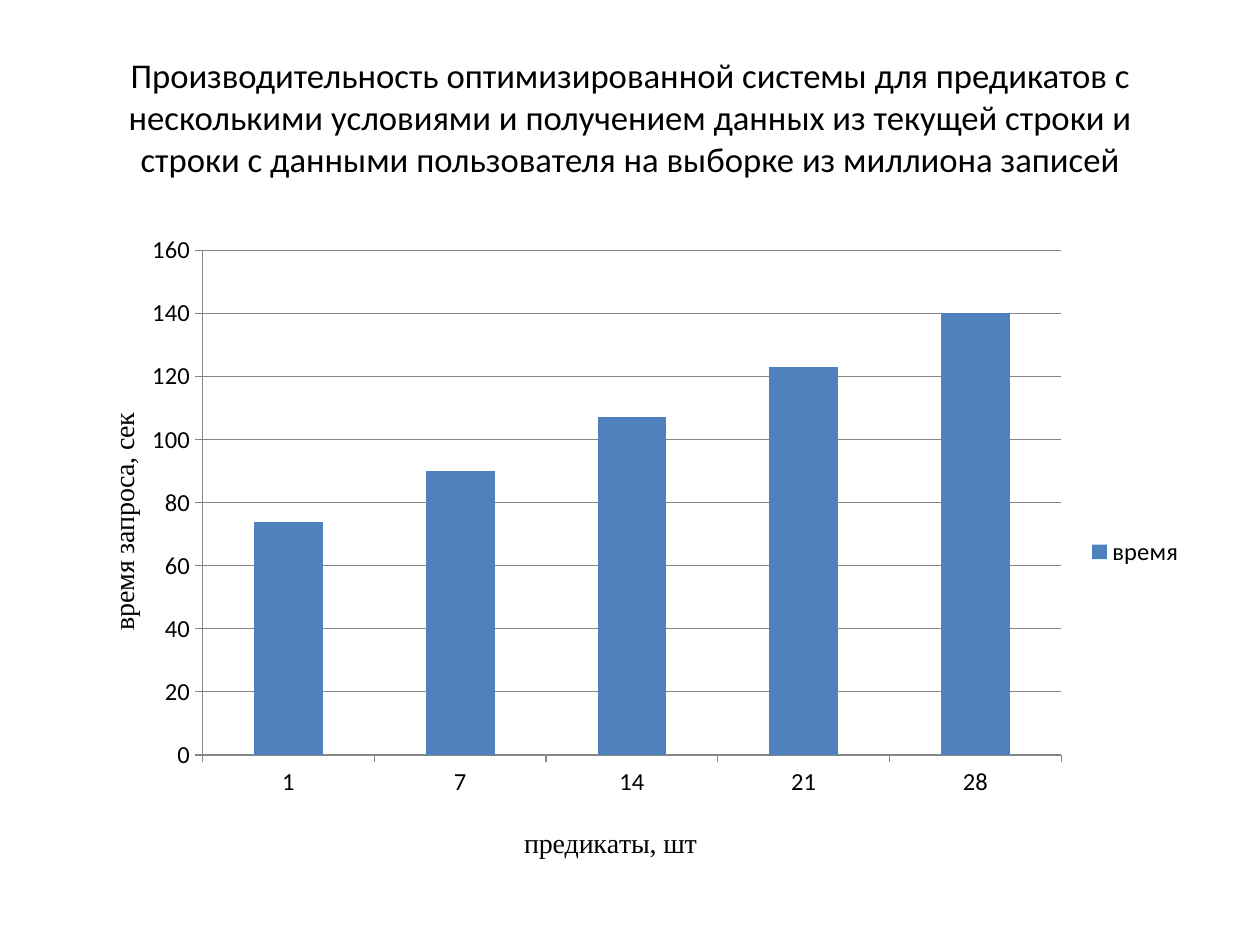
from lxml import etree
from pptx import Presentation
from pptx import util as u
from pptx.chart.data import CategoryChartData
from pptx.dml.color import RGBColor
from pptx.enum import chart as ch, text
from pptx.oxml.ns import qn

BODY_FONT = "Calibri"
AXIS_FONT = "Times New Roman"


def color(value):
    return RGBColor.from_string(value)


def place(element, index, **fractions):
    for old in element.findall(qn("c:layout")):
        element.remove(old)
    layout = etree.Element(qn("c:layout"))
    manual = etree.SubElement(layout, qn("c:manualLayout"))
    settings = {"xMode": "edge", "yMode": "edge", **fractions}
    if "w" in fractions:
        settings = {"layoutTarget": "inner", **settings}
    for name, value in settings.items():
        etree.SubElement(manual, qn(f"c:{name}")).set("val", str(value))
    element.insert(index, layout)


class SlideBuilder:
    """Holds the style and the current slide and adds elements to it."""

    ink, grid, bar = "000000", "868686", "4F81BD"

    def __init__(self, slide):
        self.slide = slide

    def style(self, font, size, name=BODY_FONT):
        font.size, font.name, font.bold = u.Pt(size), name, False
        font.color.rgb = color(self.ink)

    def heading(self, wording, left, top, width, height, size):
        box = self.slide.shapes.add_textbox(*map(u.Cm, (left, top, width, height)))
        frame = box.text_frame
        frame.word_wrap = True
        frame.vertical_anchor = text.MSO_ANCHOR.MIDDLE
        frame.text = wording
        paragraph = frame.paragraphs[0]
        paragraph.alignment = text.PP_ALIGN.CENTER
        self.style(paragraph.runs[0].font, size)

    def axis(self, axis, caption, x, y):
        axis.axis_title.text_frame.text = caption
        run = axis.axis_title.text_frame.paragraphs[0].runs[0]
        self.style(run.font, 16, AXIS_FONT)
        place(axis.axis_title._element, 1, x=x, y=y)
        self.style(axis.tick_labels.font, 14)
        axis.major_tick_mark = ch.XL_TICK_MARK.OUTSIDE
        axis.minor_tick_mark = ch.XL_TICK_MARK.NONE
        self.line(axis.format.line)

    def line(self, line):
        line.color.rgb = color(self.grid)
        line.width = u.Pt(0.75)

    def columns(self, name, points, left, top, width, height):
        data = CategoryChartData()
        data.categories = [str(count) for count in points]
        data.add_series(name, points.values())
        chart = self.slide.shapes.add_chart(
            ch.XL_CHART_TYPE.COLUMN_CLUSTERED,
            *map(u.Cm, (left, top, width, height)), data).chart
        self.style(chart.font, 10)
        chart.has_title = False
        chart.has_legend = True
        chart.legend.position = ch.XL_LEGEND_POSITION.RIGHT
        chart.legend.include_in_layout = False
        self.style(chart.legend.font, 14)

        plot = chart.plots[0]
        plot.gap_width = 150
        plot.vary_by_categories = False
        series = plot.series[0]
        series.format.fill.solid()
        series.format.fill.fore_color.rgb = color(self.bar)

        seconds = chart.value_axis
        seconds.minimum_scale, seconds.maximum_scale = 0, 160
        seconds.major_unit = 20
        seconds.has_major_gridlines = True
        self.line(seconds.major_gridlines.format.line)
        self.axis(seconds, "время запроса, сек", 0.03, 0.28)
        self.axis(chart.category_axis, "предикаты, шт", 0.4, 0.91)
        plot_area = chart._chartSpace.chart.plotArea
        place(plot_area, 0, x=0.12, y=0.04, w=0.76, h=0.77)


def main():
    deck = Presentation()
    deck.slide_width, deck.slide_height = u.Cm(25.4), u.Cm(19.05)
    builder = SlideBuilder(deck.slides.add_slide(deck.slide_layouts[6]))
    builder.heading(
        "Производительность оптимизированной системы для предикатов с "
        "несколькими условиями и получением данных из текущей строки и "
        "строки с данными пользователя на выборке из миллиона записей",
        1.27, 0.76, 22.86, 3.18, 19.8)
    query_times = {1: 74, 7: 90, 14: 107, 21: 123, 28: 140}
    builder.columns("время", query_times, 1.35, 4.52, 22.78, 13.21)
    deck.save("out.pptx")


if __name__ == "__main__":
    main()
